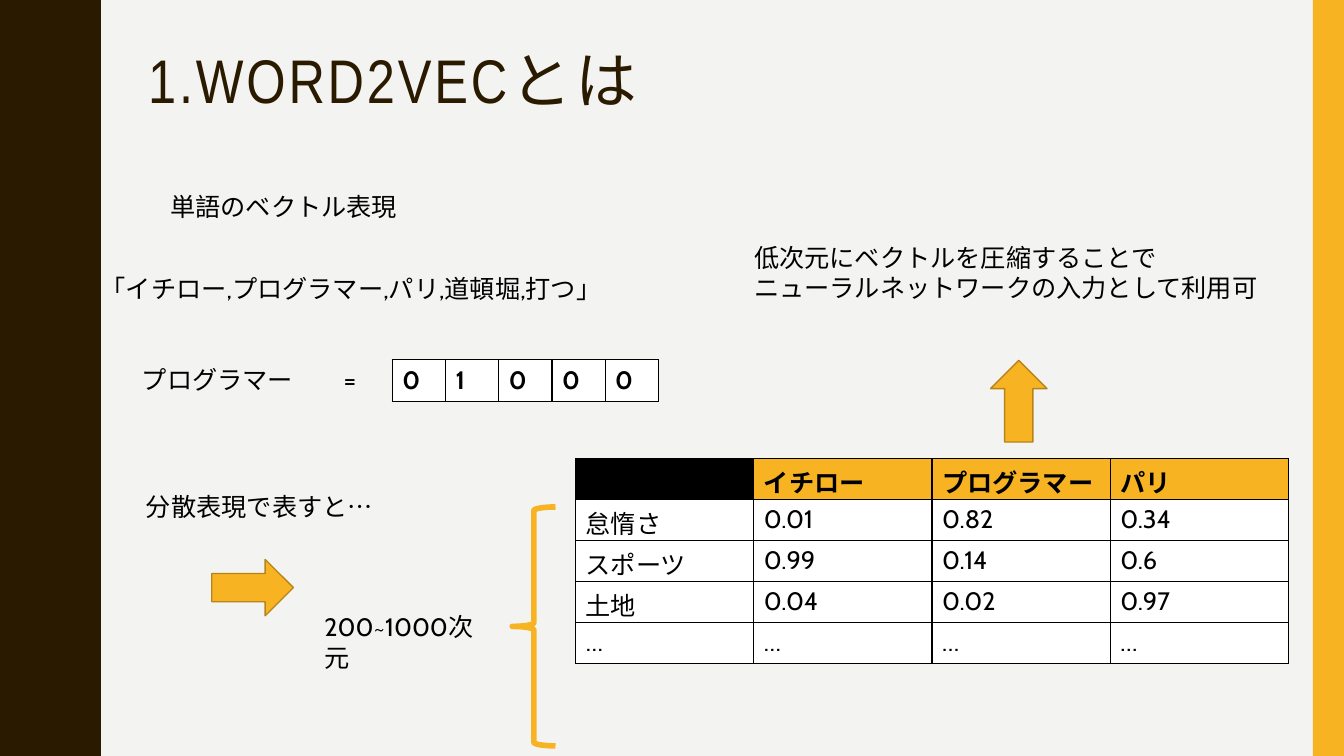
from dataclasses import dataclass

from lxml.etree import SubElement
from pptx import Presentation
from pptx.dml.color import RGBColor
from pptx.enum.shapes import MSO_SHAPE as Preset
from pptx.enum.text import MSO_ANCHOR as Anchor, PP_ALIGN as Align
from pptx.oxml.ns import qn
from pptx.util import Inches, Pt


@dataclass(frozen=True)
class Theme:
    paper: str = "F3F3F2"
    brown: str = "2A1A00"
    amber: str = "F8B323"
    amber_edge: str = "B7841A"
    black: str = "000000"
    white: str = "FFFFFF"
    title_font: str = "Arial Narrow"
    body_font: str = "Cabin"
    title_size: int = 44
    body_size: int = 18


THEME = Theme()
SLIDE_WIDTH, SLIDE_HEIGHT = 13.33, 7.5

# Half a wave of the left border as (x, y); the other half mirrors it.
WAVE_PERIOD = 1.5
HALF_WAVE = [
    (0.78, 0), (0.78, 0.07), (0.79, 0.14), (0.8, 0.2), (0.81, 0.25),
    (0.83, 0.29), (0.85, 0.33), (0.87, 0.38), (0.89, 0.42), (0.91, 0.46),
    (0.93, 0.5), (0.95, 0.55), (0.96, 0.61), (0.97, 0.68), (0.97, 0.75),
]

ONE_HOT = [["0", "1", "0", "0", "0"]]
EMBEDDING = [
    ["", "イチロー", "プログラマー", "パリ"],
    ["怠惰さ", "0.01", "0.82", "0.34"],
    ["スポーツ", "0.99", "0.14", "0.6"],
    ["土地", "0.04", "0.02", "0.97"],
    ["…", "…", "…", "…"],
]


def rgb(color):
    return RGBColor.from_string(color)


def style_run(run, font, size, color, bold=False):
    run.font.name = font
    run.font.size = Pt(size)
    run.font.color.rgb = rgb(color)
    run.font.bold = bold


def style_body(frame, bold=False):
    for paragraph in frame.paragraphs:
        for run in paragraph.runs:
            style_run(run, THEME.body_font, THEME.body_size, THEME.black, bold)


def paint(shape, fill=None, line=None, width=1):
    shape.shadow.inherit = False
    if fill:
        shape.fill.solid()
        shape.fill.fore_color.rgb = rgb(fill)
    else:
        shape.fill.background()
    if line:
        shape.line.color.rgb = rgb(line)
        shape.line.width = Pt(width)
    else:
        shape.line.fill.background()


def add_preset(slide, preset, box, **colors):
    shape = slide.shapes.add_shape(preset, *map(Inches, box))
    paint(shape, **colors)
    return shape


def add_text(slide, box, text):
    frame = slide.shapes.add_textbox(*map(Inches, box)).text_frame
    frame.word_wrap = True
    frame.text = text
    style_body(frame)


def add_borders(cell):
    properties = cell._tc.get_or_add_tcPr()
    for side in ("a:lnL", "a:lnR", "a:lnT", "a:lnB"):
        line = SubElement(properties, qn(side), w=str(Pt(1)))
        fill = SubElement(line, qn("a:solidFill"))
        SubElement(fill, qn("a:srgbClr"), val=THEME.black)


def add_grid(slide, box, rows, header_fill):
    """Bordered table with equal cells and a bold first row."""
    left, top, width, height = map(Inches, box)
    columns = len(rows[0])
    table = slide.shapes.add_table(
        len(rows), columns, left, top, width, height).table
    table.first_row = table.horz_banding = False
    for column in table.columns:
        column.width = width // columns
    for r, row in enumerate(rows):
        table.rows[r].height = height // len(rows)
        for c, value in enumerate(row):
            cell = table.cell(r, c)
            cell.text = value
            style_body(cell.text_frame, bold=r == 0)
            add_borders(cell)
            cell.fill.solid()
            fill = header_fill if r == 0 else THEME.white
            cell.fill.fore_color.rgb = rgb(fill if value else THEME.black)


def add_frame(slide):
    """Background, wavy left border and right bar."""
    slide.background.fill.solid()
    slide.background.fill.fore_color.rgb = rgb(THEME.paper)
    mirrored = [(x, WAVE_PERIOD - y) for x, y in reversed(HALF_WAVE[:-1])]
    wave = HALF_WAVE + mirrored
    edge = [(x, y + n * WAVE_PERIOD)
            for n in range(int(SLIDE_HEIGHT / WAVE_PERIOD)) for x, y in wave]
    border = slide.shapes.build_freeform(0, 0, scale=Inches(1))
    border.add_line_segments(edge + [(0, SLIDE_HEIGHT)], close=True)
    paint(border.convert_to_shape(), fill=THEME.brown)
    add_preset(slide, Preset.RECTANGLE, (13.02, 0, 0.31, SLIDE_HEIGHT),
               fill=THEME.amber)


def add_title(slide, box):
    title = slide.shapes.title
    title.left, title.top, title.width, title.height = map(Inches, box)
    frame = title.text_frame
    frame.text = "1.WORD2VECとは"
    frame.vertical_anchor = Anchor.MIDDLE
    paragraph = frame.paragraphs[0]
    paragraph.alignment = Align.LEFT
    paragraph.line_spacing = 0.9
    run = paragraph.runs[0]
    style_run(run, THEME.title_font, THEME.title_size, THEME.brown)
    run.font._element.set("spc", "200")


def add_one_hot(slide, left, top):
    """Vocabulary and the one-hot vector of one word."""
    add_text(slide, (left + 0.69, top, 2.47, 0.4), "単語のベクトル表現")
    add_text(slide, (left, top + 0.81, 5.22, 0.4),
             "「イチロー,プログラマー,パリ,道頓堀,打つ」")
    add_text(slide, (left + 0.41, top + 1.72, 2.37, 0.4), "プログラマー \t=")
    add_grid(slide, (left + 2.99, top + 1.72, 2.64, 0.41), ONE_HOT, THEME.white)


def add_embedding(slide, left, top):
    """Distributed representation, its dimensions and its benefit."""
    arrow = dict(fill=THEME.amber, line=THEME.amber_edge)
    add_text(slide, (left, top + 0.28, 2.47, 0.4), "分散表現で表すと…")
    add_preset(slide, Preset.RIGHT_ARROW,
               (left + 0.75, top + 1, 0.81, 0.56), **arrow)
    add_text(slide, (left + 1.77, top + 1.47, 1.74, 0.4), "200~1000次元")
    add_preset(slide, Preset.LEFT_BRACE, (left + 3.73, top + 0.48, 0.43, 2.37),
               line=THEME.amber, width=4)
    add_grid(slide, (left + 4.36, top, 7.07, 2.03), EMBEDDING, THEME.amber)
    up_arrow = add_preset(slide, Preset.RIGHT_ARROW,
                          (left + 8.35, top - 0.85, 0.81, 0.56), **arrow)
    up_arrow.rotation = 270
    add_text(slide, (left + 6.03, top - 2.2, 5.25, 0.71),
             "低次元にベクトルを圧縮することで\n"
             "ニューラルネットワークの入力として利用可")


def main():
    deck = Presentation()
    deck.slide_width = Inches(SLIDE_WIDTH)
    deck.slide_height = Inches(SLIDE_HEIGHT)
    slide = deck.slides.add_slide(deck.slide_layouts.get_by_name("Title Only"))
    add_frame(slide)
    add_title(slide, (1.37, 0.42, 11.13, 0.82))
    add_one_hot(slide, 0.9, 1.85)
    add_embedding(slide, 1.35, 4.55)
    deck.save("out.pptx")


if __name__ == "__main__":
    main()
